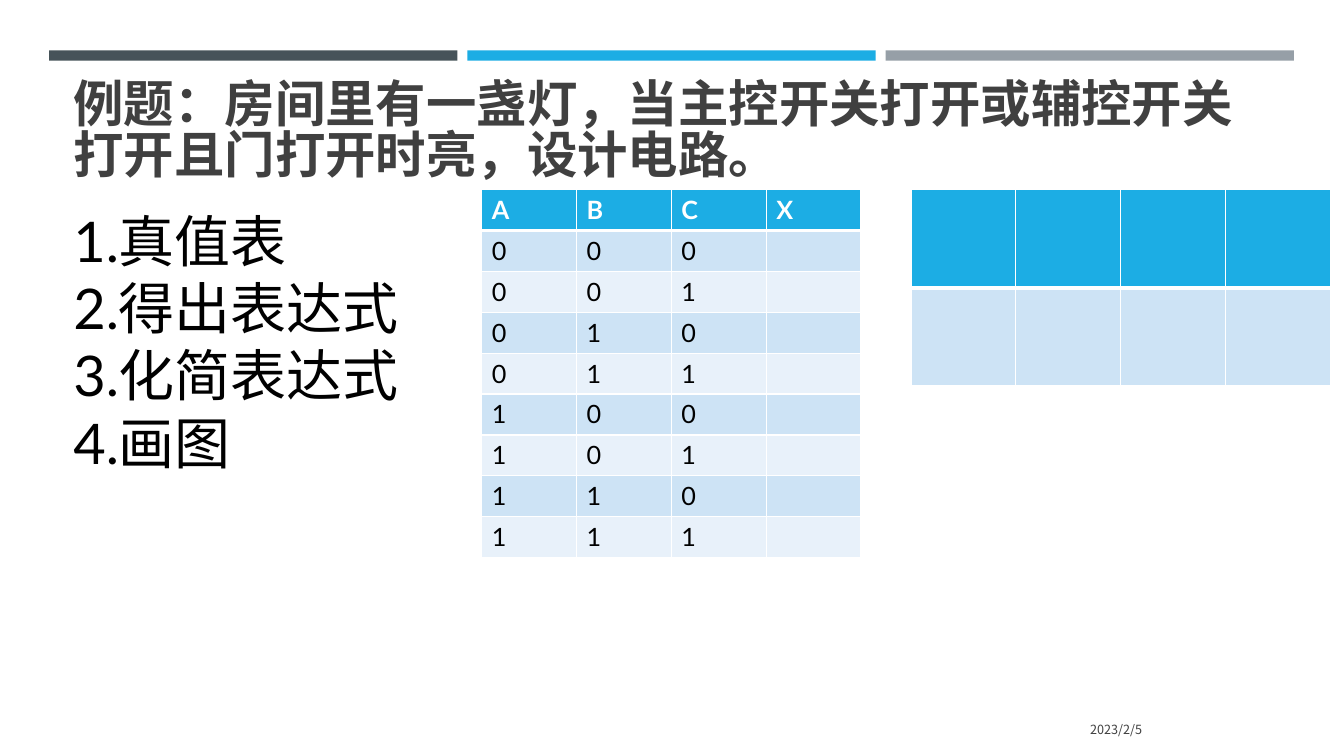
import dataclasses

import pptx
import pptx.dml.color
import pptx.enum.shapes
import pptx.enum.text
import pptx.oxml
import pptx.oxml.ns
import pptx.util

Cm = pptx.util.Cm
Pt = pptx.util.Pt
ANCHOR = pptx.enum.text.MSO_ANCHOR
ALIGN = pptx.enum.text.PP_ALIGN
AUTO_SIZE = pptx.enum.text.MSO_AUTO_SIZE

# Content
TITLE = "例题：房间里有一盏灯，当主控开关打开或辅控开关打开且门打开时亮，设计电路。"
STEPS = ["真值表", "得出表达式", "化简表达式", "画图"]
DATE = "2023/2/5"
TRUTH_ROWS = [["A", "B", "C", "X"]] + [
    [*f"{number:03b}", ""] for number in range(8)
]
BLANK_ROWS = [[""] * 4] * 2


@dataclasses.dataclass(frozen=True)
class Theme:
    bars: tuple = ("465359", "1CADE4", "969FA7")
    header: str = "1CADE4"
    bands: tuple = ("CDE3F5", "E8F1FA")
    white: str = "FFFFFF"
    black: str = "000000"
    grey: str = "404040"
    heading_font: str = "Noto Sans CJK SC"
    body_font: str = "Lato"
    title_size: int = 36
    step_size: int = 40
    cell_size: int = 18
    date_size: int = 9
    rule: int = 1
    header_rule: int = 3


THEME = Theme()


def rgb(value):
    return pptx.dml.color.RGBColor.from_string(value)


def write(para, text, *, size, color, font, bold=False, align=ALIGN.LEFT, spacing=1.0):
    para.alignment = align
    para.line_spacing = spacing
    span = para.add_run()
    span.text = text
    span.font.size = Pt(size)
    span.font.bold = bold
    span.font.name = font
    span.font.color.rgb = rgb(color)
    east_asian = pptx.oxml.parse_xml(
        f'<a:ea {pptx.oxml.ns.nsdecls("a")} typeface="{font}"/>'
    )
    span.font._element.find(pptx.oxml.ns.qn("a:latin")).addnext(east_asian)


def number_paragraph(para, indent):
    properties = para._p.get_or_add_pPr()
    properties.set("marL", str(indent))
    properties.set("indent", str(-indent))
    properties.append(pptx.oxml.parse_xml(
        f'<a:buAutoNum {pptx.oxml.ns.nsdecls("a")} type="arabicPeriod"/>'
    ))


def border_cell(cell, bottom):
    widths = {"lnL": THEME.rule, "lnR": THEME.rule, "lnT": THEME.rule, "lnB": bottom}
    properties = cell._tc.get_or_add_tcPr()
    for position, (side, width) in enumerate(widths.items()):
        properties.insert(position, pptx.oxml.parse_xml(
            f'<a:{side} {pptx.oxml.ns.nsdecls("a")} w="{Pt(width)}">'
            f'<a:solidFill><a:srgbClr val="{THEME.white}"/></a:solidFill></a:{side}>'
        ))


def add_grid(page, rows, left, top, column_width, row_height):
    columns = len(rows[0])
    table = page.shapes.add_table(
        len(rows), columns, left, top, column_width * columns, row_height * len(rows)
    ).table
    for column in table.columns:
        column.width = column_width
    for row_index, values in enumerate(rows):
        table.rows[row_index].height = row_height
        is_header = row_index == 0
        fill = THEME.header if is_header else THEME.bands[(row_index - 1) % 2]
        for column_index, value in enumerate(values):
            cell = table.cell(row_index, column_index)
            cell.fill.solid()
            cell.fill.fore_color.rgb = rgb(fill)
            border_cell(cell, THEME.header_rule if is_header else THEME.rule)
            if value:
                write(cell.text_frame.paragraphs[0], value, size=THEME.cell_size,
                      color=THEME.white if is_header else THEME.black,
                      font=THEME.body_font, bold=is_header)


def build():
    deck = pptx.Presentation()
    deck.slide_width, deck.slide_height = Cm(33.87), Cm(19.05)
    page = deck.slides.add_slide(deck.slide_layouts[5])

    # Top bars
    bar_width, bar_pitch = 10.29, 10.54
    for index, color in enumerate(THEME.bars):
        bar = page.shapes.add_shape(
            pptx.enum.shapes.MSO_SHAPE.RECTANGLE,
            Cm(1.24 + index * bar_pitch), Cm(1.27), Cm(bar_width), Cm(0.26))
        bar.shadow.inherit = False
        bar.fill.solid()
        bar.fill.fore_color.rgb = rgb(color)
        bar.line.fill.background()

    # Title
    title = page.shapes.title
    title.left, title.top, title.width, title.height = Cm(1.6), Cm(2.03), Cm(30.63), Cm(2.74)
    title.text_frame.word_wrap = True
    title.text_frame.auto_size = AUTO_SIZE.NONE
    title.text_frame.vertical_anchor = ANCHOR.BOTTOM
    write(title.text_frame.paragraphs[0], TITLE, size=THEME.title_size, color=THEME.grey,
          font=THEME.heading_font, bold=True, spacing=0.85)

    # Date
    date_box = page.shapes.add_textbox(Cm(21.13), Cm(17.86), Cm(7.9), Cm(1.02))
    date_box.text_frame.word_wrap = True
    date_box.text_frame.vertical_anchor = ANCHOR.MIDDLE
    write(date_box.text_frame.paragraphs[0], DATE, size=THEME.date_size, color=THEME.grey,
          font=THEME.heading_font, align=ALIGN.RIGHT)

    # Numbered steps
    steps_box = page.shapes.add_textbox(Cm(1.6), Cm(5.08), Cm(8.84), Cm(7.09))
    frame = steps_box.text_frame
    frame.word_wrap = False
    frame.auto_size = AUTO_SIZE.SHAPE_TO_FIT_TEXT
    for index, step in enumerate(STEPS):
        para = frame.add_paragraph() if index else frame.paragraphs[0]
        number_paragraph(para, Cm(0.95))
        write(para, step, size=THEME.step_size, color=THEME.black, font=THEME.body_font)

    # Blank grid and truth table
    table_top = Cm(4.78)
    add_grid(page, BLANK_ROWS, Cm(22.96), table_top, Cm(2.64), Cm(2.47))
    add_grid(page, TRUTH_ROWS, Cm(12.14), table_top, Cm(2.39), Cm(1.03))

    deck.save("out.pptx")


if __name__ == "__main__":
    build()
